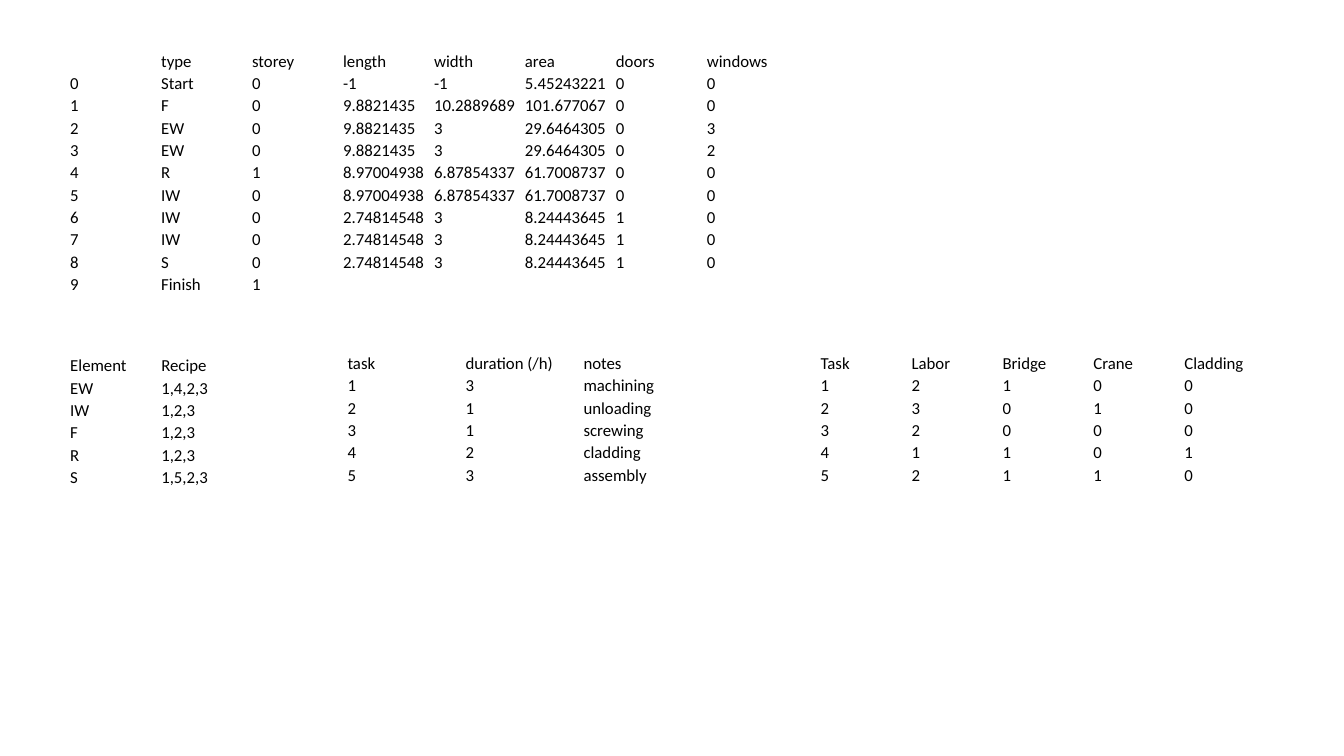
from lxml import etree
from pptx import Presentation
from pptx import util as u
from pptx.dml import color
from pptx.enum import text as t
from pptx.oxml import ns

COLORS = {"text": "000000"}
FONT = "Calibri"
FONT_SIZE = 12

ELEMENTS = [
    ["", "type", "storey", "length", "width", "area", "doors", "windows"],
    ["0", "Start", "0", "-1", "-1", "5.45243221", "0", "0"],
    ["1", "F", "0", "9.8821435", "10.2889689", "101.677067", "0", "0"],
    ["2", "EW", "0", "9.8821435", "3", "29.6464305", "0", "3"],
    ["3", "EW", "0", "9.8821435", "3", "29.6464305", "0", "2"],
    ["4", "R", "1", "8.97004938", "6.87854337", "61.7008737", "0", "0"],
    ["5", "IW", "0", "8.97004938", "6.87854337", "61.7008737", "0", "0"],
    ["6", "IW", "0", "2.74814548", "3", "8.24443645", "1", "0"],
    ["7", "IW", "0", "2.74814548", "3", "8.24443645", "1", "0"],
    ["8", "S", "0", "2.74814548", "3", "8.24443645", "1", "0"],
    ["9", "Finish", "1", "", "", "", "", ""],
]
RECIPES = [
    ["Element", "Recipe"],
    ["EW", "1,4,2,3"],
    ["IW", "1,2,3"],
    ["F", "1,2,3"],
    ["R", "1,2,3"],
    ["S", "1,5,2,3"],
]
DURATIONS = [
    ["task", "duration (/h)", "notes"],
    ["1", "3", "machining"],
    ["2", "1", "unloading"],
    ["3", "1", "screwing"],
    ["4", "2", "cladding"],
    ["5", "3", "assembly"],
]
RESOURCES = [
    ["Task", "Labor", "Bridge", "Crane", "Cladding"],
    ["1", "2", "1", "0", "0"],
    ["2", "3", "0", "1", "0"],
    ["3", "2", "0", "0", "0"],
    ["4", "1", "1", "0", "1"],
    ["5", "2", "1", "1", "0"],
]


def write_text(paragraph, content, *, size=FONT_SIZE, font=FONT, fill="text"):
    """Write one formatted run, or only fix the line height if there is no text."""
    if not content:
        etree.SubElement(paragraph._p, ns.qn("a:endParaRPr"), sz=str(size * 100))
        return
    run = paragraph.add_run()
    run.text = content
    run.font.size = u.Pt(size)
    run.font.name = font
    run.font.color.rgb = color.RGBColor.from_string(COLORS[fill])


def fill_cell(cell, content):
    cell.fill.background()
    cell.vertical_anchor = t.MSO_ANCHOR.BOTTOM
    cell.margin_left = cell.margin_right = cell.margin_top = u.Cm(0.02)
    cell.margin_bottom = 0
    write_text(cell.text_frame.paragraphs[0], content)


def add_plain_table(slide, rows, left, top, width, height):
    """Add a table without fills whose rows and columns share the size equally."""
    frame = slide.shapes.add_table(
        len(rows), len(rows[0]), u.Cm(left), u.Cm(top), u.Cm(width), u.Cm(height)
    )
    table = frame.table
    table.first_row = False
    table.horz_banding = False
    for cell, content in zip(table.iter_cells(), sum(rows, [])):
        fill_cell(cell, content)


def main():
    presentation = Presentation()
    presentation.slide_width = u.Cm(33.87)
    presentation.slide_height = u.Cm(19.05)
    slide = presentation.slides.add_slide(presentation.slide_layouts[6])

    add_plain_table(slide, RECIPES, 1.75, 8.92, 4.59, 3.38)
    add_plain_table(slide, RESOURCES, 20.66, 8.86, 11.46, 3.38)
    add_plain_table(slide, DURATIONS, 8.74, 8.86, 8.92, 3.38)
    add_plain_table(slide, ELEMENTS, 1.75, 1.24, 18.34, 6.2)

    presentation.save("out.pptx")


if __name__ == "__main__":
    main()
